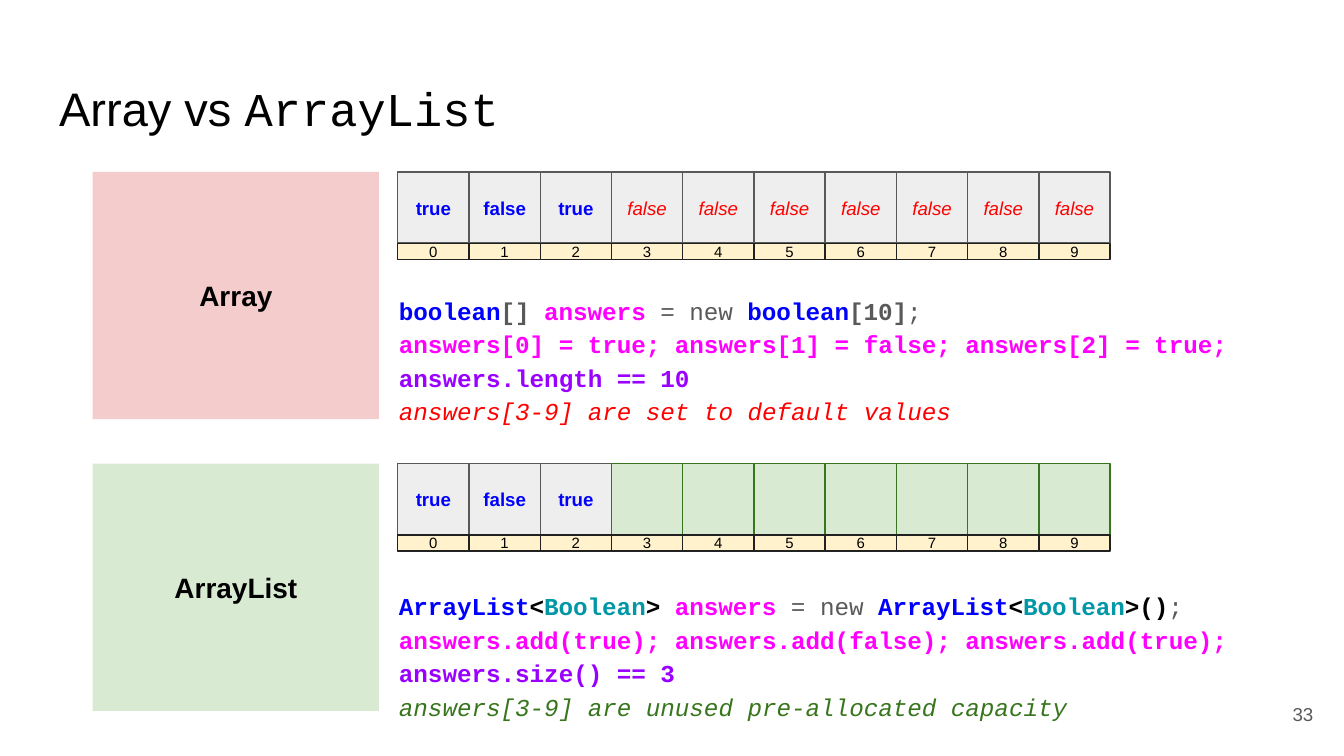
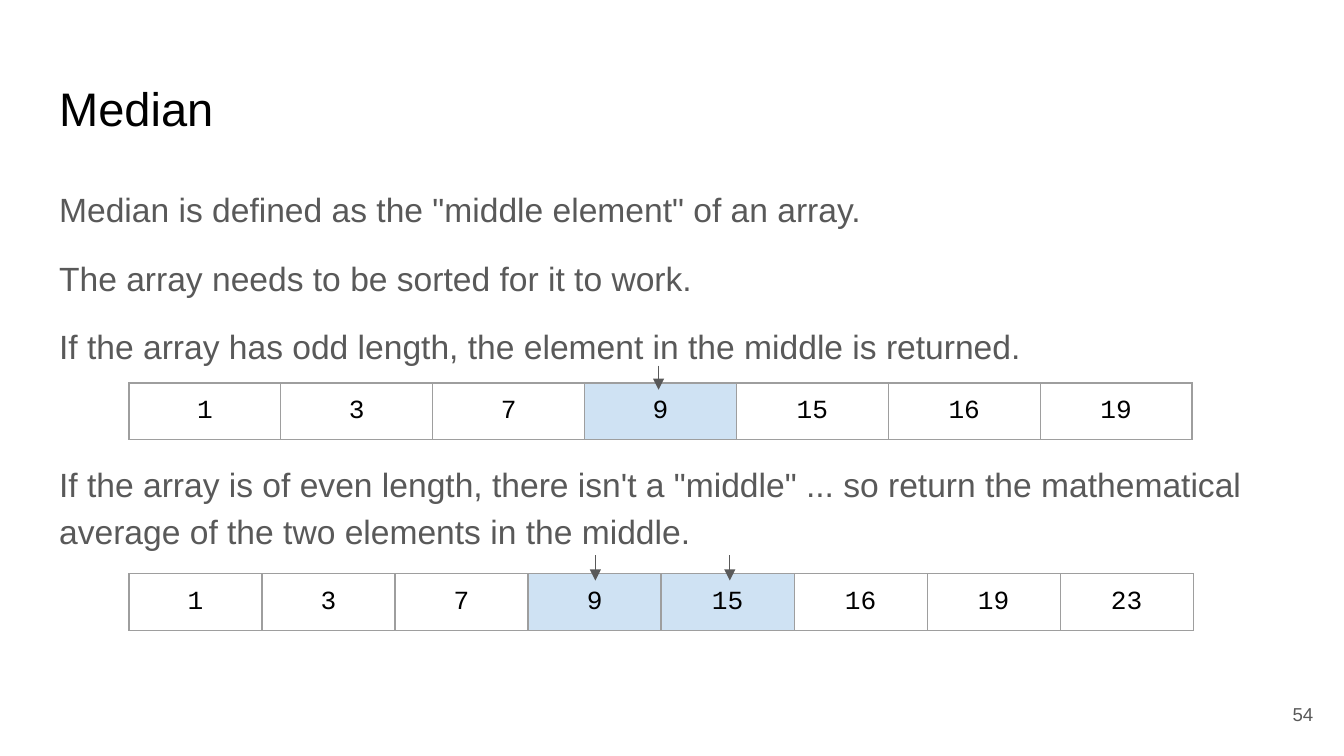
from lxml.etree import SubElement
from pptx import Presentation
from pptx.dml.color import RGBColor
from pptx.enum.shapes import MSO_CONNECTOR, MSO_SHAPE
from pptx.enum.text import MSO_ANCHOR as ANCHOR, MSO_AUTO_SIZE as AUTO, PP_ALIGN as ALIGN
from pptx.oxml.ns import qn
from pptx.text.text import Font
from pptx.util import Pt

PX = 9144  # 100 px to the inch
SLIDE_WIDTH = 1000 * PX
SLIDE_HEIGHT = SLIDE_WIDTH * 9 // 16
SANS, MONO = "Arial", "Courier New"
BLACK = RGBColor(0x00, 0x00, 0x00)
GRAY = RGBColor(0x59, 0x59, 0x59)
DARK = RGBColor(0x21, 0x21, 0x21)
SILVER = RGBColor(0xEE, 0xEE, 0xEE)
CREAM = RGBColor(0xFF, 0xF2, 0xCC)
PINK = RGBColor(0xF4, 0xCC, 0xCC)
MINT = RGBColor(0xD9, 0xEA, 0xD3)
GREEN = RGBColor(0x38, 0x76, 0x1D)
BLUE = RGBColor(0x00, 0x00, 0xFF)
RED = RGBColor(0xFF, 0x00, 0x00)
MAGENTA = RGBColor(0xFF, 0x00, 0xFF)
PURPLE = RGBColor(0x99, 0x00, 0xFF)
TEAL = RGBColor(0x00, 0x97, 0xA7)
SKY = RGBColor(0xCF, 0xE2, 0xF3)
BORDER = "9E9E9E"
INSET = 10
TITLE_BOX = (34, 49, 932, 63)
BODY_BOX = (34, 126, 932, 374)
NUMBER_BOX = (927, 510, 60, 43)


def px(*lengths):
    return [n * PX for n in lengths]


def format_font(font, size=10, color=BLACK, name=SANS, bold=False, italic=False):
    font.size, font.name = Pt(size), name
    font.bold, font.italic = bold, italic
    font.color.rgb = color


def add_text(p, text, align=ALIGN.LEFT, **fmt):
    p.alignment = align
    r = p.add_run()
    r.text = text
    format_font(r.font, **fmt)


def set_frame(tf, anchor=ANCHOR.TOP, fit=AUTO.NONE):
    tf.word_wrap, tf.auto_size, tf.vertical_anchor = True, fit, anchor
    tf.margin_left = tf.margin_top = tf.margin_right = tf.margin_bottom = INSET * PX
    return tf


def place(sp, box):
    sp.left, sp.top, sp.width, sp.height = px(*box)
    return set_frame(sp.text_frame)


def add_slide(prs, layout, title, number):
    """Add a slide with its title, given as (text, font name) parts, and number."""
    s = prs.slides.add_slide(prs.slide_layouts.get_by_name(layout))
    p = place(s.shapes.title, TITLE_BOX).paragraphs[0]
    for text, name in title:
        add_text(p, text, size=25.2, name=name)
    tf = set_frame(s.shapes.add_textbox(*px(*NUMBER_BOX)).text_frame, ANCHOR.MIDDLE)
    add_text(tf.paragraphs[0], str(number), ALIGN.RIGHT, color=GRAY)
    return s


def add_rect(shapes, box, fill, line=None, text="", **fmt):
    sp = shapes.add_shape(MSO_SHAPE.RECTANGLE, *px(*box))
    sp.shadow.inherit = False
    sp.fill.solid()
    sp.fill.fore_color.rgb = fill
    if line is None:
        sp.line.fill.background()
    else:
        sp.line.color.rgb, sp.line.width = line, Pt(0.75)
    tf = set_frame(sp.text_frame, ANCHOR.MIDDLE)
    if text:
        add_text(tf.paragraphs[0], text, ALIGN.CENTER, **fmt)


def add_memory_row(s, x, y, spare_text, spare_fill, spare_line):
    """Draw ten cells over their indexes; the last seven are spare."""
    side, index_height = 53, 12
    shapes = s.shapes.add_group_shape().shapes
    values = ["true", "false", "true"]
    for i in range(10):
        box = (x + i * side, y, side, side)
        if i < len(values):
            add_rect(shapes, box, SILVER, GRAY, values[i], color=BLUE, bold=True)
        else:
            add_rect(shapes, box, spare_fill, spare_line, spare_text,
                     color=RED, italic=True)
    for i in range(10):
        add_rect(shapes, (x + i * side, y + side, side, index_height),
                 CREAM, DARK, str(i), size=8)


def add_code(s, box, lines):
    """Write lines of (text, color, style) parts; style holds b and i flags."""
    tf = set_frame(s.shapes.add_textbox(*px(*box)).text_frame, fit=AUTO.SHAPE_TO_FIT_TEXT)
    p = tf.paragraphs[0]
    p.line_spacing, p.space_after = 1.15, Pt(12)
    for i, line in enumerate(lines):
        if i:
            p.add_line_break()
            br = p._p.findall(qn("a:br"))[-1]
            format_font(Font(SubElement(br, qn("a:rPr"))), size=13)
        for text, color, style in line:
            add_text(p, text, size=13, name=MONO, color=color,
                     bold="b" in style, italic="i" in style)


def add_comparison(s, y, label, fill, spare, code_box, code):
    add_memory_row(s, 296, y, *spare)
    add_code(s, code_box, code)
    add_rect(s.shapes, (69, y, 213, 184), fill, text=label, size=15, bold=True)


def build_array_slide(prs):
    s = add_slide(prs, "Title Only", [("Array vs ", SANS), ("ArrayList", MONO)], 33)
    array_code = [
        [("boolean", BLUE, "b"), ("[] ", GRAY, "b"), ("answers", MAGENTA, "b"),
         (" = new ", GRAY, ""), ("boolean", BLUE, "b"), ("[10]", GRAY, "b"),
         (";", GRAY, "")],
        [("answers[0] = true; answers[1] = false; answers[2] = true;", MAGENTA, "b")],
        [("answers.length == 10", PURPLE, "b")],
        [("answers[3-9] are set to default values", RED, "i")],
    ]
    list_code = [
        [("ArrayList", BLUE, "b"), ("<", BLACK, "b"), ("Boolean", TEAL, "b"),
         ("> ", BLACK, "b"), ("answers", MAGENTA, "b"), (" = new ", GRAY, ""),
         ("ArrayList", BLUE, "b"), ("<", BLACK, "b"), ("Boolean", TEAL, "b"),
         (">()", BLACK, "b"), (";", GRAY, "")],
        [("answers.add(true); answers.add(false); answers.add(true);", MAGENTA, "b")],
        [("answers.size() == 3", PURPLE, "b")],
        [("answers[3-9] are unused pre-allocated capacity", GREEN, "i")],
    ]
    add_comparison(s, 128, "Array", PINK, ("false", SILVER, GRAY),
                   (287, 207, 692, 118), array_code)
    add_comparison(s, 345, "ArrayList", MINT, ("", MINT, GREEN),
                   (287, 427, 701, 118), list_code)


def set_borders(cell):
    tc_pr = cell._tc.get_or_add_tcPr()
    for side in ("a:lnL", "a:lnR", "a:lnT", "a:lnB"):
        ln = SubElement(tc_pr, qn(side), w=str(Pt(0.75)))
        SubElement(SubElement(ln, qn("a:solidFill")), qn("a:srgbClr"), val=BORDER)


def add_number_row(s, x, y, col_width, values, middle):
    height = 42
    table = s.shapes.add_table(1, len(values),
                               *px(x, y, col_width * len(values), height)).table
    table.first_row = table.horz_banding = False
    for i, value in enumerate(values):
        table.columns[i].width = col_width * PX
        cell = table.cell(0, i)
        cell.margin_left = cell.margin_right = INSET * PX
        cell.margin_top = cell.margin_bottom = INSET * PX
        set_borders(cell)
        if i in middle:
            cell.fill.solid()
            cell.fill.fore_color.rgb = SKY
        else:
            cell.fill.background()
        add_text(cell.text_frame.paragraphs[0], str(value), ALIGN.CENTER,
                 size=14, name=MONO)


def add_down_arrow(s, x, top, bottom):
    line = s.shapes.add_connector(MSO_CONNECTOR.STRAIGHT, *px(x, top, x, bottom))
    line.line.color.rgb, line.line.width = GRAY, Pt(0.75)
    SubElement(line.line._get_or_add_ln(), qn("a:tailEnd"), type="triangle")
    SubElement(line._element.spPr, qn("a:effectLst"))


def fill_body(s, paragraphs):
    """Write (text, space before) paragraphs without bullets."""
    tf = place(s.placeholders[1], BODY_BOX)
    for i, (text, before) in enumerate(paragraphs):
        p = tf.add_paragraph() if i else tf.paragraphs[0]
        p_pr = p._p.get_or_add_pPr()
        p_pr.set("marL", "0")
        p_pr.set("indent", "0")
        SubElement(p_pr, qn("a:buNone"))
        p.line_spacing, p.space_before, p.space_after = 1.15, Pt(before), Pt(0)
        add_text(p, text, size=18, color=GRAY)


def build_median_slide(prs):
    s = add_slide(prs, "Title and Content", [("Median", SANS)], 54)
    fill_body(s, [
        ('Median is defined as the "middle element" of an array.', 0),
        ("The array needs to be sorted for it to work.", 12),
        ("If the array has odd length, the element in the middle is returned.", 12),
        ("If the array is of even length, there isn't a \"middle\" ... so return "
         "the mathematical average of the two elements in the middle.", 49),
    ])
    odd = [1, 3, 7, 9, 15, 16, 19]
    add_number_row(s, 96, 285, 113, odd, {3})
    add_down_arrow(s, 490, 272, 290)
    add_number_row(s, 96, 427, 99, odd + [23], {3, 4})
    for x in (443, 543):
        add_down_arrow(s, x, 413, 432)


def main():
    prs = Presentation()
    prs.slide_width, prs.slide_height = SLIDE_WIDTH, SLIDE_HEIGHT
    build_array_slide(prs)
    build_median_slide(prs)
    prs.save("out.pptx")


if __name__ == "__main__":
    main()
